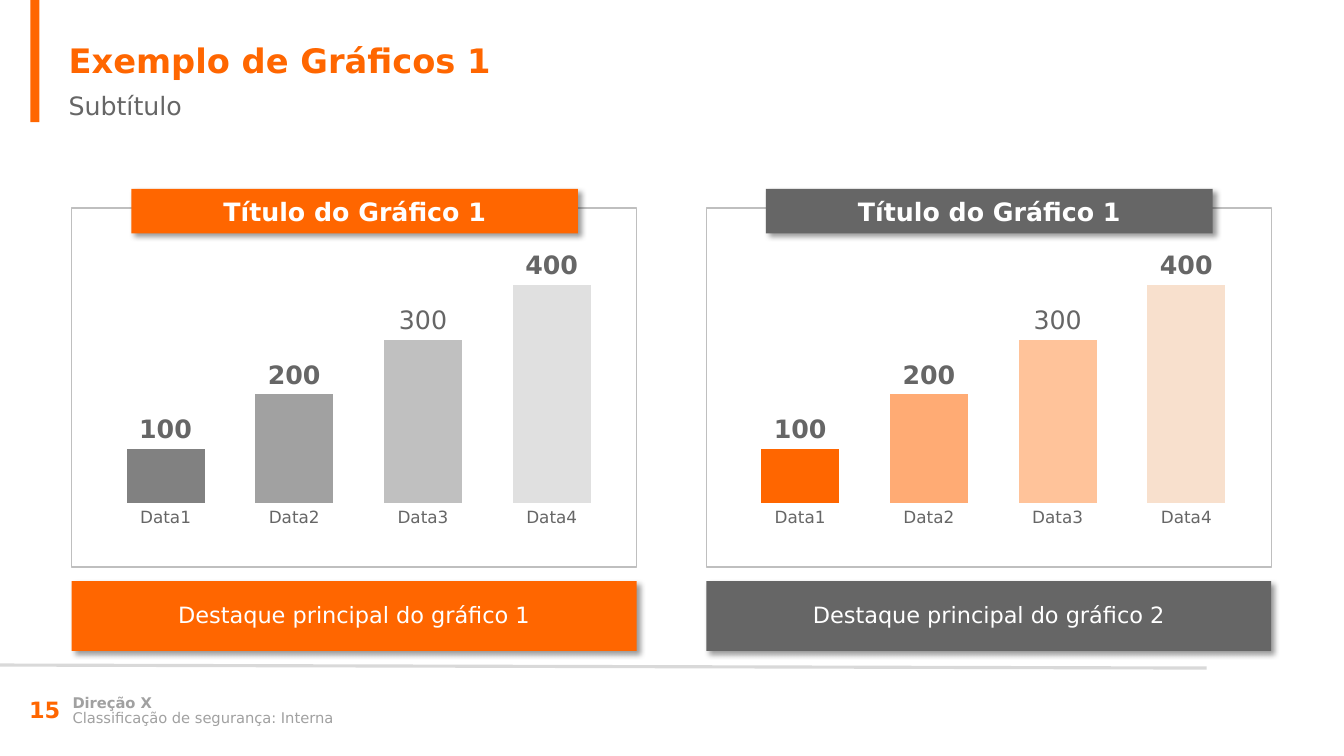
from lxml import etree
from pptx import Presentation
from pptx import util as u
from pptx.chart.data import CategoryChartData
from pptx.dml.color import RGBColor
from pptx.enum import chart as ch, shapes, text
from pptx.oxml import parse_xml
from pptx.oxml.ns import nsdecls, qn

FONT = "DejaVu Sans"
ORANGE, GRAY, PALE = "FF6600", "666666", "A1A1A1"
WHITE = "FFFFFF"
MID = text.MSO_ANCHOR.MIDDLE
CATS = ["Data1", "Data2", "Data3", "Data4"]
VALS = [100, 200, 300, 400]
PLOT = {"x": 0.025, "y": 0.034, "w": 0.965, "h": 0.804}
PANELS = [
    (0.71, ORANGE, "Destaque principal do gráfico 1",
     ["818181", "A1A1A1", "C0C0C0", "E0E0E0"]),
    (6.99, GRAY, "Destaque principal do gráfico 2",
     [ORANGE, "FFAB74", "FFC39A", "F8E0CD"]),
]


def rgb(code):
    return RGBColor.from_string(code)


def style(font, size, color, bold=False):
    font.name, font.size, font.bold = FONT, u.Pt(size), bold
    font.color.rgb = rgb(color)


def write(shape, words, size, color, bold=False, anchor=MID, align=None,
          gaps=None, line=None):
    """Fill a shape with one paragraph; gaps is space before and after."""
    frame = shape.text_frame
    frame.word_wrap = True
    frame.vertical_anchor = anchor
    frame.text = words
    para = frame.paragraphs[0]
    para.alignment = align
    if gaps:
        para.space_before, para.space_after = map(u.Pt, gaps)
    if line:
        para.line_spacing = line
    style(para.runs[0].font, size, color, bold)


def label(slide, box, words, size, color, **look):
    shape = slide.shapes.add_textbox(*map(u.Inches, box))
    write(shape, words, size, color, **look)


def rect(slide, box, fill=None, edge=None):
    shape = slide.shapes.add_shape(
        shapes.MSO_SHAPE.RECTANGLE, *map(u.Inches, box))
    shape.shadow.inherit = False
    if fill:
        shape.fill.solid()
        shape.fill.fore_color.rgb = rgb(fill)
    else:
        shape.fill.background()
    if edge:
        shape.line.color.rgb = rgb(edge)
        shape.line.width = u.Pt(1)
    else:
        shape.line.fill.background()
    return shape


def banner(slide, box, fill, words, size, **look):
    """Add a filled bar with centred white text and a soft shadow."""
    shape = rect(slide, box, fill)
    effects = shape.element.spPr.find(qn("a:effectLst"))
    effects.append(parse_xml(
        f'<a:outerShdw {nsdecls("a")} blurRad="{u.Pt(4)}" dist="{u.Pt(3)}" '
        'dir="2700000" algn="tl" rotWithShape="0"><a:srgbClr val="000000">'
        '<a:alpha val="40000"/></a:srgbClr></a:outerShdw>'))
    write(shape, words, size, WHITE, align=text.PP_ALIGN.CENTER, **look)


def rule(slide, start, end, color, width):
    line = slide.shapes.add_connector(
        shapes.MSO_CONNECTOR.STRAIGHT, *map(u.Inches, start + end))
    line.line.color.rgb = rgb(color)
    line.line.width = u.Pt(width)
    etree.SubElement(line.element.spPr, qn("a:effectLst"))


def place(chart):
    """Fix the inner plot area inside the chart frame."""
    area = chart.element.find(".//" + qn("c:plotArea"))
    for old in area.findall(qn("c:layout")):
        area.remove(old)
    modes = '<c:xMode val="edge"/><c:yMode val="edge"/>'
    sizes = "".join(f'<c:{k} val="{v}"/>' for k, v in PLOT.items())
    area.insert(0, parse_xml(
        f'<c:layout {nsdecls("c")}><c:manualLayout>'
        f'<c:layoutTarget val="inner"/>{modes}{sizes}'
        '</c:manualLayout></c:layout>'))


def columns(slide, box, colors):
    data = CategoryChartData()
    data.categories = CATS
    data.add_series("Series 1", VALS)
    chart = slide.shapes.add_chart(
        ch.XL_CHART_TYPE.COLUMN_CLUSTERED, *map(u.Inches, box), data).chart
    style(chart.font, 11, GRAY)
    chart.has_legend = chart.has_title = False
    place(chart)

    cat, val = chart.category_axis, chart.value_axis
    cat.major_tick_mark = ch.XL_TICK_MARK.NONE
    cat.format.line.fill.background()
    style(cat.tick_labels.font, 12, GRAY)
    val.visible = val.has_major_gridlines = False
    val.minimum_scale, val.maximum_scale = 0, 450

    plot = chart.plots[0]
    plot.vary_by_categories = False
    plot.gap_width, plot.overlap = 65, 94
    bars = plot.series[0]
    for i, color in enumerate(colors):
        fill = bars.points[i].format.fill
        fill.solid()
        fill.fore_color.rgb = rgb(color)

    tags = bars.data_labels
    tags.show_value = True
    tags.position = ch.XL_LABEL_POSITION.OUTSIDE_END
    style(tags.font, 18, GRAY, True)
    plain = bars.points[2].data_label
    plain.text_frame.text = "300"
    style(plain.text_frame.paragraphs[0].runs[0].font, 18, GRAY)
    plain.position = ch.XL_LABEL_POSITION.OUTSIDE_END


def panel(slide, left, color, note, colors):
    rect(slide, (left, 2.06, 5.59, 3.55), edge="BFBFBF")
    banner(slide, (left + 0.59, 1.87, 4.42, 0.44), color,
           "Título do Gráfico 1", 18, bold=True, gaps=(6, 4))
    banner(slide, (left, 5.75, 5.59, 0.69), color, note, 16, line=0.9)
    columns(slide, (left + 0.16, 2.45, 5.28, 3.02), colors)


def main():
    deck = Presentation()
    deck.slide_width, deck.slide_height = u.Inches(13.3), u.Inches(7.48)
    slide = deck.slides.add_slide(deck.slide_layouts[6])

    rect(slide, (0.3, 0, 0.09, 1.21), ORANGE)
    top = text.MSO_ANCHOR.TOP
    label(slide, (0.58, 0.34, 12.42, 0.5), "Exemplo de Gráficos 1", 24,
          ORANGE, bold=True, anchor=top)
    label(slide, (0.58, 0.84, 12.42, 0.4), "Subtítulo", 18, GRAY, anchor=top)

    for part in PANELS:
        panel(slide, *part)

    rule(slide, (0, 6.58), (11.94, 6.61), "D9D9D9", 2.25)
    label(slide, (0.19, 6.82, 0.69, 0.4), "15", 16, ORANGE, bold=True)
    foot = {"gaps": (6, 4), "line": 0.85}
    label(slide, (0.62, 6.84, 7.53, 0.25), "Direção X", 10.5, PALE,
          bold=True, **foot)
    label(slide, (0.62, 6.99, 7.53, 0.25),
          "Classificação de segurança: Interna", 10.5, PALE, **foot)
    deck.save("out.pptx")


if __name__ == "__main__":
    main()
